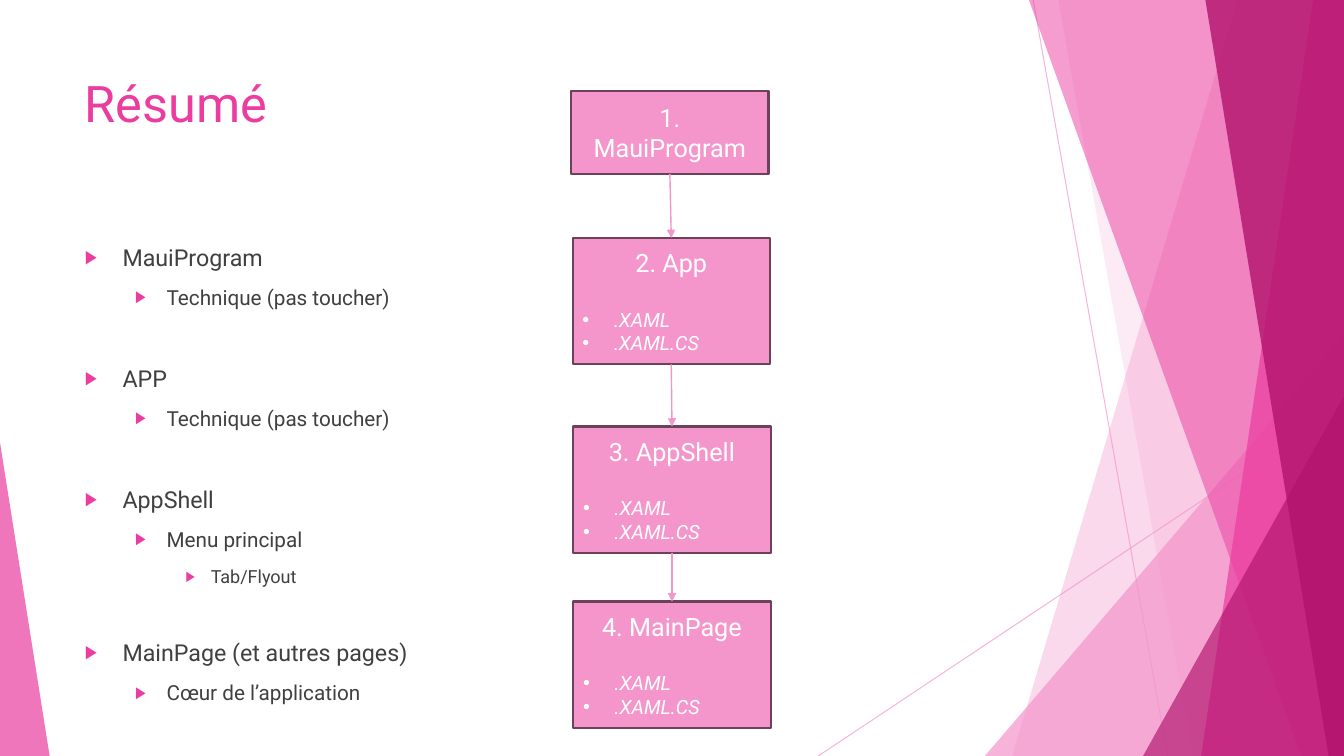
from dataclasses import dataclass

from lxml import etree
from pptx import Presentation
from pptx.dml.color import RGBColor
from pptx.enum.shapes import MSO_CONNECTOR, MSO_SHAPE
from pptx.enum.text import MSO_ANCHOR, PP_ALIGN
from pptx.oxml.ns import qn
from pptx.util import Pt

LINE = MSO_CONNECTOR.STRAIGHT
RECT = MSO_SHAPE.RECTANGLE
TRI = MSO_SHAPE.ISOSCELES_TRIANGLE
TOP, MIDDLE = MSO_ANCHOR.TOP, MSO_ANCHOR.MIDDLE
LEFT, CENTER = PP_ALIGN.LEFT, PP_ALIGN.CENTER
BOTTOM_SITE, TOP_SITE = 2, 0
WIDE, HIGH = 960, 540


@dataclass(frozen=True)
class Theme:
    font: str = "Roboto"
    pink: str = "EB3D9F"
    light: str = "F496CB"
    dark: str = "B2136D"
    edge: str = "6B4259"
    ink: str = "404040"
    white: str = "FFFFFF"
    title: float = 36
    levels: tuple = (16.6, 14.8, 12.9)
    head: float = 18
    item: float = 14


def add(node, tag, **attrs):
    return etree.SubElement(node, qn(tag), attrs)


class Deck:
    def __init__(self, theme, slide):
        self.theme, self.slide = theme, slide

    def fade(self, fill, alpha):
        """Set the opacity, in percent, of a solid fill."""
        color = next(fill.iter(qn("a:srgbClr")))
        add(color, "a:alpha", val=str(alpha * 1000))

    def paint(self, shape, color, alpha=100):
        shape.shadow.inherit = False
        shape.fill.solid()
        shape.fill.fore_color.rgb = RGBColor.from_string(color)
        shape.line.fill.background()
        if alpha < 100:
            self.fade(shape._element.spPr.find(qn("a:solidFill")), alpha)

    def facet(self, points, color, alpha):
        pen = self.slide.shapes.build_freeform(
            Pt(points[0][0]), Pt(points[0][1]), scale=1.0)
        pen.add_line_segments([(Pt(x), Pt(y)) for x, y in points[1:]])
        self.paint(pen.convert_to_shape(), color, alpha)

    def wedge(self, x, y, w, h, apex, color, alpha):
        shape = self.slide.shapes.add_shape(TRI, Pt(x), Pt(y), Pt(w), Pt(h))
        shape.adjustments[0] = apex
        self.paint(shape, color, alpha)

    def line(self, start, end, color, width, alpha=100):
        link = self.slide.shapes.add_connector(
            LINE, Pt(start[0]), Pt(start[1]), Pt(end[0]), Pt(end[1]))
        link.line.color.rgb = RGBColor.from_string(color)
        link.line.width = Pt(width)
        if alpha < 100:
            self.fade(link.line._ln, alpha)
        add(link._element.spPr, "a:effectLst")
        return link

    def arrow(self, upper, lower):
        link = self.line((0, 0), (0, 0), self.theme.light, 1)
        link.begin_connect(upper, BOTTOM_SITE)
        link.end_connect(lower, TOP_SITE)
        add(link.line._ln, "a:tailEnd", type="triangle")

    def frame(self, shape, anchor):
        frame = shape.text_frame
        frame.word_wrap = True
        frame.vertical_anchor = anchor
        return frame

    def text(self, x, y, w, h):
        shape = self.slide.shapes.add_textbox(Pt(x), Pt(y), Pt(w), Pt(h))
        return self.frame(shape, TOP)

    def box(self, x, y, w, h):
        shape = self.slide.shapes.add_shape(RECT, Pt(x), Pt(y), Pt(w), Pt(h))
        self.paint(shape, self.theme.light)
        shape.line.color.rgb = RGBColor.from_string(self.theme.edge)
        shape.line.width = Pt(1.5)
        return shape

    def para(self, frame, words, size, color, align=LEFT, before=0,
             italic=False):
        para = frame.paragraphs[0]
        if para.runs:
            para = frame.add_paragraph()
        para.alignment = align
        para.space_before = Pt(before)
        run = para.add_run()
        run.text = words
        font = run.font
        font.name, font.size, font.italic = self.theme.font, Pt(size), italic
        font.color.rgb = RGBColor.from_string(color)
        return para

    def bullet(self, para, mark, color, scale, margin, hang):
        props = para._p.get_or_add_pPr()
        props.set("marL", str(Pt(margin)))
        props.set("indent", str(-Pt(hang)))
        add(add(props, "a:buClr"), "a:srgbClr", val=color)
        add(props, "a:buSzPct", val=str(scale * 1000))
        add(props, "a:buFont", typeface="Arial")
        add(props, "a:buChar", char=mark)


def backdrop(deck):
    t = deck.theme
    # Thin lines
    deck.line((738, 0), (834, HIGH), t.light, 0.75, 70)
    deck.line((WIDE, 290), (584.5, HIGH), t.light, 0.75, 70)

    # Facets that reach the right edge: top corner, bottom corner
    def facet(top, base, color, alpha):
        deck.facet([(top, 0), (WIDE, 0), (WIDE, HIGH), (base, HIGH)],
                   color, alpha)

    facet(884, 723, t.light, 36)
    facet(756, 852, t.light, 20)
    deck.wedge(703.5, 240, 256.5, 300, 1, t.light, 72)
    facet(735, 929.5, t.pink, 50)
    facet(938, 858, t.pink, 70)
    facet(861, 949, t.dark, 80)
    deck.wedge(816.5, 283, 143.5, 257, 1, t.dark, 66)
    deck.wedge(0, 316, 35.5, 224, 0, t.pink, 70)


def outline(deck):
    t = deck.theme
    indents = ((27, 27), (58.5, 22.5), (90, 18))
    # Level, space before, words
    rows = (
        (0, 10, "MauiProgram"),
        (1, 10, "Technique (pas toucher)"),
        (0, 38.7, "APP"),
        (1, 10, "Technique (pas toucher)"),
        (0, 38.7, "AppShell"),
        (1, 10, "Menu principal"),
        (2, 10, "Tab/Flyout"),
        (0, 36.3, "MainPage (et autres pages)"),
        (1, 10, "Cœur de l’application"),
    )
    frame = deck.text(53.5, 170, 263.5, 305)
    for level, before, words in rows:
        para = deck.para(frame, words, t.levels[level], t.ink, before=before)
        para.level = level
        deck.bullet(para, "▶", t.pink, 80, *indents[level])


def flow(deck):
    t = deck.theme
    files = (".XAML", ".XAML.CS")
    # Left, top, height, heading, files
    steps = (
        (408, 65.2, 59, "1. MauiProgram", ()),
        (409, 170, 90.3, "2. App", files),
        (409.5, 304.7, 90.3, "3. AppShell", files),
        (409.5, 429.7, 90.3, "4. MainPage", files),
    )
    boxes = []
    for x, y, h, head, names in steps:
        box = deck.box(x, y, 141, h)
        frame = deck.frame(box, MIDDLE)
        deck.para(frame, head, t.head, t.white, CENTER)
        for i, name in enumerate(names):
            para = deck.para(frame, name, t.item, t.white,
                             before=0 if i else 21.2, italic=True)
            deck.bullet(para, "•", t.white, 100, 22.5, 22.5)
        boxes.append(box)
    for upper, lower in zip(boxes, boxes[1:]):
        deck.arrow(upper, lower)


def main():
    show = Presentation()
    show.slide_width, show.slide_height = Pt(WIDE), Pt(HIGH)
    deck = Deck(Theme(), show.slides.add_slide(show.slide_layouts[6]))
    backdrop(deck)
    # Title
    deck.para(deck.text(53.5, 48, 677, 104), "Résumé",
              deck.theme.title, deck.theme.pink)
    outline(deck)
    flow(deck)
    show.save("out.pptx")


if __name__ == "__main__":
    main()
